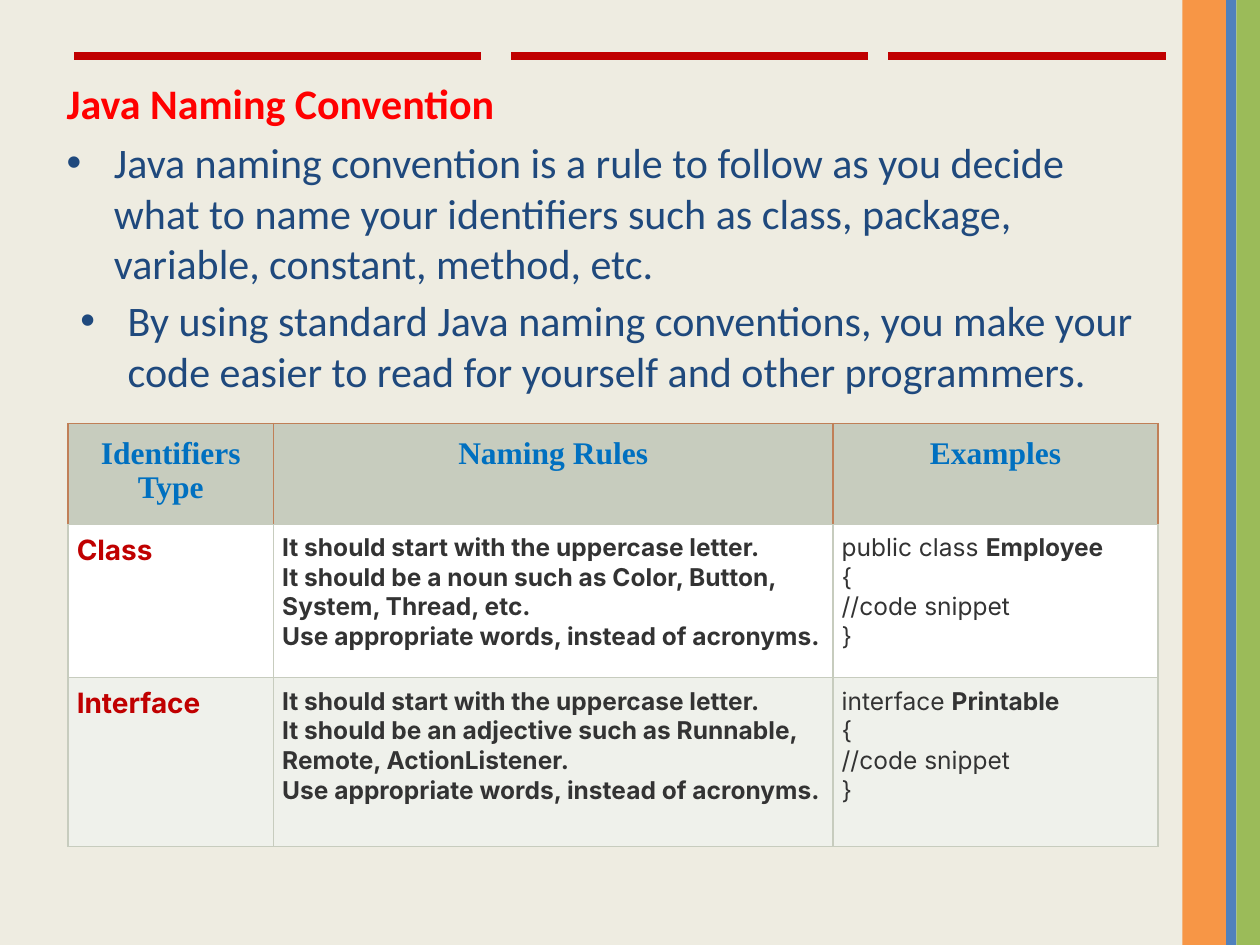
from dataclasses import dataclass

from lxml import etree
from pptx import Presentation
from pptx import util as u
from pptx.dml.color import RGBColor
from pptx.enum import shapes, text
from pptx.oxml import ns

Pt = u.Pt
ALIGN = text.PP_ALIGN


@dataclass(frozen=True)
class Theme:
    page: str = "EEECE1"
    orange: str = "F79646"
    green: str = "9BBB59"
    blue: str = "4F81BD"
    red: str = "FF0000"
    dark: str = "C00000"
    navy: str = "1F497D"
    sky: str = "0070C0"
    ink: str = "333333"
    head: str = "C7CCBE"
    rust: str = "C07F57"
    white: str = "FFFFFF"
    pale: str = "EFF1EB"
    sans: str = "Calibri"
    serif: str = "Times New Roman"
    grid: str = "Inter"
    big: float = 24
    mid: float = 18
    label: float = 16
    small: float = 14


T = Theme()


@dataclass(frozen=True)
class Band:
    left: float
    width: float
    tint: str


@dataclass(frozen=True)
class Rule:
    start: float
    end: float


@dataclass(frozen=True)
class Style:
    face: str
    size: float
    tint: str
    bold: bool = False
    align: ALIGN = ALIGN.LEFT


@dataclass(frozen=True)
class Entry:
    kind: str
    rules: str
    word: str
    name: str
    fill: str


TITLE = Style(T.sans, T.big, T.red, True)
BODY = Style(T.sans, T.big, T.navy)
HEAD = Style(T.serif, T.mid, T.sky, True, ALIGN.CENTER)
LABEL = Style(T.grid, T.label, T.dark, True, ALIGN.JUSTIFY)
RULES = Style(T.grid, T.small, T.ink, True)
CODE = Style(T.grid, T.small, T.ink)

BANDS = [Band(675.7, 25.2, T.orange), Band(706.5, 13.5, T.green),
         Band(700.6, 5.8, T.blue)]
LINES = [Rule(42.5, 275), Rule(292.3, 496.1), Rule(507.6, 666)]
HEADS = ["Identifiers Type", "Naming Rules", "Examples"]
ENTRIES = [
    Entry("Class",
          "It should start with the uppercase letter.\n"
          "It should be a noun such as Color, Button, System, Thread, etc.\n"
          "Use appropriate words, instead of acronyms.",
          "public class", "Employee", T.white),
    Entry("Interface",
          "It should start with the uppercase letter.\n"
          "It should be an adjective such as Runnable, Remote, ActionListener.\n"
          "Use appropriate words, instead of acronyms.",
          "interface", "Printable", T.pale),
]
COLS = [117.4, 319.7, 185.8]
ROWS = [56.9, 87.8, 96.5]


def rgb(tint: str) -> RGBColor:
    return RGBColor.from_string(tint)


def style(para, look: Style) -> None:
    para.alignment = look.align
    for run in para.runs:
        font = run.font
        font.name, font.size, font.bold = look.face, Pt(look.size), look.bold
        font.color.rgb = rgb(look.tint)


def bullet(para) -> None:
    props = para._p.get_or_add_pPr()
    props.set("marL", str(Pt(27)))
    props.set("indent", str(Pt(-27)))
    etree.SubElement(props, ns.qn("a:buFont"), typeface="Arial")
    etree.SubElement(props, ns.qn("a:buChar"), char="•")


def draw_band(slide, band: Band) -> None:
    bar = slide.shapes.add_shape(shapes.MSO_SHAPE.RECTANGLE, Pt(band.left), 0,
                                 Pt(band.width), Pt(540))
    bar.shadow.inherit = False
    bar.fill.solid()
    bar.fill.fore_color.rgb = rgb(band.tint)
    bar.line.fill.background()


def draw_rule(slide, rule: Rule) -> None:
    line = slide.shapes.add_connector(shapes.MSO_CONNECTOR.STRAIGHT,
                                      Pt(rule.start), Pt(32), Pt(rule.end), Pt(32))
    line.line.color.rgb = rgb(T.dark)
    line.line.width = Pt(4.5)
    etree.SubElement(line._element.spPr, ns.qn("a:effectLst"))


def add_box(slide, left: float, top: float, width: float, height: float, words: str):
    box = slide.shapes.add_textbox(Pt(left), Pt(top), Pt(width), Pt(height))
    frame = box.text_frame
    frame.word_wrap = True
    frame.text = words
    return frame


def fill_cell(cell, words: str, look: Style, fill: str, edge: str, inset: float) -> None:
    cell.margin_left = cell.margin_right = Pt(inset)
    cell.margin_top = cell.margin_bottom = Pt(inset)
    props = cell._tc.get_or_add_tcPr()
    for side in ("lnL", "lnR", "lnT", "lnB"):
        line = etree.SubElement(props, ns.qn("a:" + side), w=str(Pt(0.75)))
        solid = etree.SubElement(line, ns.qn("a:solidFill"))
        tint = T.head if side == "lnB" else edge
        etree.SubElement(solid, ns.qn("a:srgbClr"), val=tint)
    cell.fill.solid()
    cell.fill.fore_color.rgb = rgb(fill)
    cell.text_frame.text = words
    for para in cell.text_frame.paragraphs:
        style(para, look)


def draw_table(slide) -> None:
    table = slide.shapes.add_table(len(ROWS), len(COLS), Pt(38.9), Pt(241.9),
                                   Pt(sum(COLS)), Pt(sum(ROWS))).table
    table.first_row = table.horz_banding = False
    for col, width in zip(table.columns, COLS):
        col.width = Pt(width)
    for row, height in zip(table.rows, ROWS):
        row.height = Pt(height)
    for col, words in enumerate(HEADS):
        fill_cell(table.cell(0, col), words, HEAD, T.head, T.rust, 7.2)
    for row, entry in enumerate(ENTRIES, 1):
        code = f"{entry.word} \n{{\n//code snippet\n}}"
        parts = [(entry.kind, LABEL), (entry.rules, RULES), (code, CODE)]
        for col, (words, look) in enumerate(parts):
            fill_cell(table.cell(row, col), words, look, entry.fill, T.head, 5)
        first = table.cell(row, 2).text_frame.paragraphs[0]
        name = first.add_run()
        name.text = entry.name
        style(first, CODE)
        name.font.bold = True


def main() -> None:
    deck = Presentation()
    deck.slide_width, deck.slide_height = Pt(720), Pt(540)
    slide = deck.slides.add_slide(deck.slide_layouts[6])
    slide.background.fill.solid()
    slide.background.fill.fore_color.rgb = rgb(T.page)
    for band in BANDS:
        draw_band(slide, band)
    intro = add_box(slide, 31, 41, 634.3, 126.7,
                    "Java Naming Convention\n"
                    "Java naming convention is a rule to follow as you decide what to "
                    "name your identifiers such as class, package, variable, constant, "
                    "method, etc.")
    for para, look in zip(intro.paragraphs, (TITLE, BODY)):
        para.space_before = Pt(4.8)
        style(para, look)
    bullet(intro.paragraphs[1])
    for rule in LINES:
        draw_rule(slide, rule)
    note = add_box(slide, 38.9, 164.9, 622.8, 65.5,
                   "By using standard Java naming conventions, you make your code "
                   "easier to read for yourself and other programmers.")
    style(note.paragraphs[0], BODY)
    bullet(note.paragraphs[0])
    draw_table(slide)
    deck.save("out.pptx")


if __name__ == "__main__":
    main()
